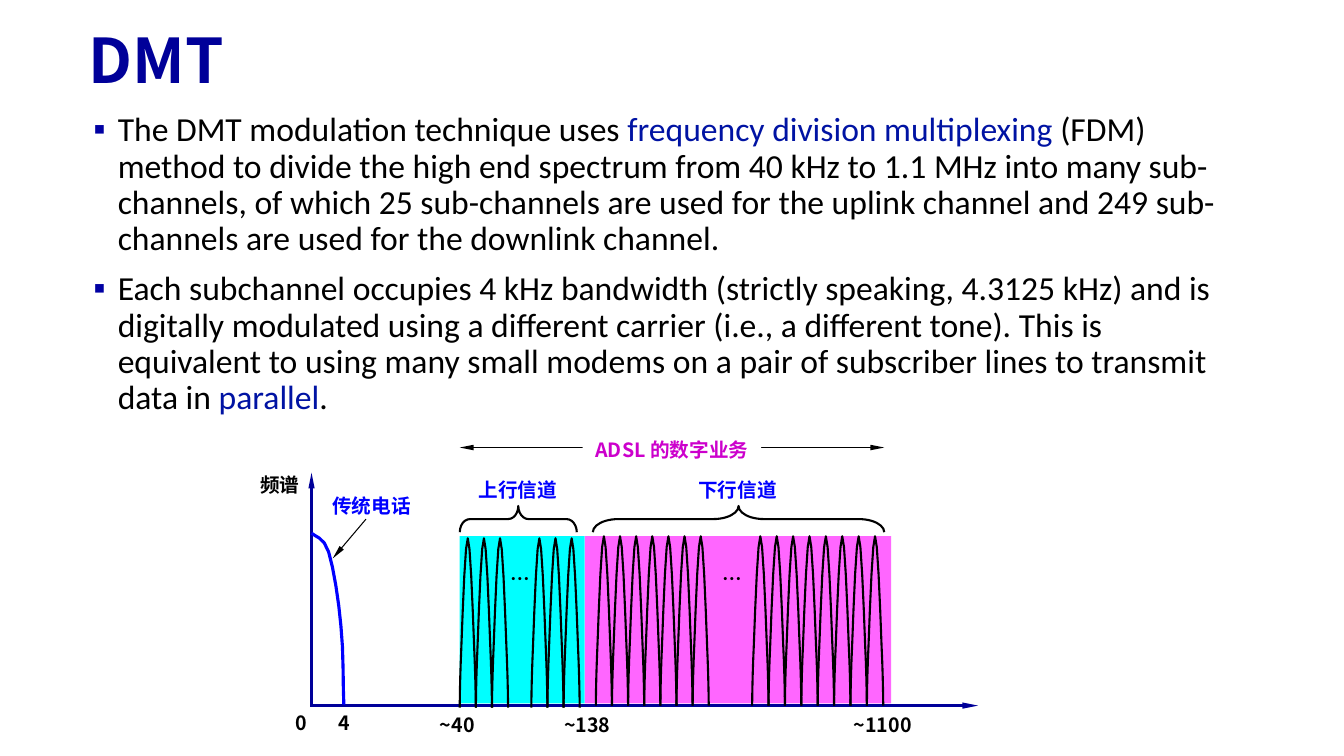
from lxml.etree import SubElement as Sub
from pptx import Presentation
from pptx.dml.color import RGBColor
from pptx.enum.shapes import MSO_CONNECTOR as Link, MSO_SHAPE as Kind
from pptx.enum.text import MSO_ANCHOR as Anchor, MSO_AUTO_SIZE as Auto, PP_ALIGN as Align
from pptx.oxml.ns import qn
from pptx.util import Inches, Pt

COLS, ROWS = 13.33, 7.5  # grid of one-inch cells
SANS, CJK = "Calibri", "Noto Sans CJK SC"
BLACK, NAVY, BLUE, INK = "000000", "000099", "0000FF", "0013A3"
AXIS, BASE, BAND = 3.09, 7.0, 5.32  # left axis, bottom axis, top of the bands

TITLE = "DMT"
POINTS = [
    [("The DMT modulation technique uses ", BLACK),
     ("frequency division multiplexing ", INK),
     ("(FDM) method to divide the high end spectrum from 40 kHz to 1.1 MHz into "
      "many sub-channels, of which 25 sub-channels are used for the uplink channel "
      "and 249 sub-channels are used for the downlink channel.", BLACK)],
    [("Each subchannel occupies 4 kHz bandwidth (strictly speaking, 4.3125 kHz) and "
      "is digitally modulated using a different carrier (i.e., a different tone). "
      "This is equivalent to using many small modems on a pair of subscriber lines "
      "to transmit data in ", BLACK),
     ("parallel", INK), (".", BLACK)],
]
# left, right, fill
BANDS = [(4.56, 5.8, "00FFFF"), (5.8, 8.84, "FF66FF")]
# left, right, bend
BRACES = [(4.56, 5.72, 0.389), (5.88, 8.77, 0.973)]
# start, end, width in points, colour, head at the start
ARROWS = [
    ((4.56, 4.44), (8.77, 4.44), 0.75, BLACK, True),
    ((AXIS, BASE + 0.01), (AXIS, 4.69), 2.25, NAVY, False),
    ((3.63, 5.15), (3.3, 5.54), 0.75, BLACK, False),
    ((AXIS, BASE), (9.7, BASE), 2.25, NAVY, False),
]
# text, left, top, width, colour, fill
LABELS = [
    ("ADSL 的数字业务", 5.78, 4.3, 1.77, "CC00CC", "FFFFFF"),
    ("频谱", 2.48, 4.64, 0.59, BLACK, None),
    ("传统电话", 3.19, 4.85, 0.99, BLUE, None),
    ("上行信道", 4.64, 4.69, 0.99, BLUE, None),
    ("下行信道", 6.82, 4.69, 0.99, BLUE, None),
    ("…", 4.96, 5.58, 0.39, BLACK, None),
    ("…", 7.07, 5.58, 0.39, BLACK, None),
    ("0", 2.83, BASE, 0.32, BLACK, None),
    ("4", 3.25, BASE, 0.32, BLACK, None),
    ("~40", 4.24, 7.02, 0.59, BLACK, None),
    ("~138", 5.47, 7.02, 0.71, BLACK, None),
    ("~1100", 8.34, 7.02, 0.83, BLACK, None),
]
# left, right, number of tones, top
TONES = [(4.56, 5.04, 3, 5.34), (5.27, 5.75, 3, 5.34),
         (5.91, 7.03, 7, BAND), (7.46, 8.76, 8, BAND)]
# curve points as shares of the width and height of each outline
RISE = [(0, 1), (0.01, 0.87), (0.05, 0.76), (0.1, 0.65),
        (0.2, 0.38), (0.36, 0), (0.5, 0)]
TONE = RISE + [(1 - x, y) for x, y in RISE[-2::-1]]
PHONE = [(0, 0), (0.09, 0.02), (0.38, 0.02), (0.53, 0.11), (0.69, 0.21), (0.84, 0.39),
         (0.91, 0.54), (1, 0.69), (0.97, 0.91), (1, 1)]


def rgb(code):
    return RGBColor.from_string(code)


def box(left, top, width, height):
    return [Inches(v) for v in (left, top, width, height)]


def write(par, text, size=14, font=CJK, color=BLACK, bold=True):
    run = par.add_run()
    run.text = text
    face = run.font
    face.size, face.name, face.bold = Pt(size), font, bold
    face.color.rgb = rgb(color)
    Sub(face._element, qn("a:ea")).set("typeface", font)


def bullet(par):
    prop = par._p.get_or_add_pPr()
    prop.set("marL", str(Inches(0.39)))
    prop.set("indent", str(Inches(-0.24)))
    tint = Sub(prop, qn("a:buClr"))
    Sub(tint, qn("a:srgbClr")).set("val", "0000A3")
    Sub(prop, qn("a:buFont")).set("typeface", SANS)
    Sub(prop, qn("a:buChar")).set("char", "▪")


def label(slide, text, left, top, width, color, fill):
    item = slide.shapes.add_textbox(*box(left, top, width, 0.34))
    if fill:
        item.fill.solid()
        item.fill.fore_color.rgb = rgb(fill)
    frame = item.text_frame
    frame.word_wrap, frame.auto_size = False, Auto.SHAPE_TO_FIT_TEXT
    par = frame.paragraphs[0]
    par.alignment = Align.CENTER
    write(par, text, color=color)


def arrow(slide, start, end, width, color, both):
    item = slide.shapes.add_connector(
        Link.STRAIGHT, *[Inches(v) for v in start + end])
    item.line.width = Pt(width)
    item.line.color.rgb = rgb(color)
    line = item.line._get_or_add_ln()
    for tag in ("a:headEnd", "a:tailEnd") if both else ("a:tailEnd",):
        Sub(line, qn(tag), type="triangle", w="sm", len="lg")
    Sub(item._element.spPr, qn("a:effectLst"))


def trace(dots, steps=4):
    """Sample a chain of cubic curves."""
    out = [dots[0]]
    for i in range(0, len(dots) - 1, 3):
        for k in range(1, steps + 1):
            t = k / steps
            parts = ((1 - t) ** 3, 3 * t * (1 - t) ** 2, 3 * t * t * (1 - t), t ** 3)
            out.append(tuple(sum(p * dot[axis] for p, dot in zip(parts, dots[i:i + 4]))
                             for axis in (0, 1)))
    return out


def curve(slide, dots, left, top, width, height, color, weight):
    spots = [(Inches(left + x * width), Inches(top + y * height))
             for x, y in trace(dots)]
    pen = slide.shapes.build_freeform(*spots[0])
    pen.add_line_segments(spots[1:], close=False)
    item = pen.convert_to_shape()
    item.shadow.inherit = False
    item.fill.background()
    item.line.width = Pt(weight)
    item.line.color.rgb = rgb(color)


def head(slide):
    title = slide.shapes.title
    title.left, title.top, title.width, title.height = box(0.78, 0.14, 11.87, 0.98)
    frame = title.text_frame
    frame.auto_size, frame.vertical_anchor = Auto.NONE, Anchor.MIDDLE
    par = frame.paragraphs[0]
    par.alignment, par.line_spacing = Align.LEFT, 0.9
    write(par, TITLE, size=44, color=NAVY)


def body(slide):
    frame = slide.shapes.add_textbox(*box(0.68, 1.07, 11.66, 3.15)).text_frame
    frame.word_wrap = True
    for i, runs in enumerate(POINTS):
        par = frame.add_paragraph() if i else frame.paragraphs[0]
        par.line_spacing = 0.9
        par.space_before = Pt(10 if i else 0)
        bullet(par)
        for text, color in runs:
            write(par, text, size=24, font=SANS, color=color, bold=False)


def chart(slide):
    for left, right, fill in BANDS:
        band = slide.shapes.add_shape(
            Kind.RECTANGLE, *box(left, BAND, right - left, BASE - 0.02 - BAND))
        band.shadow.inherit = False
        band.fill.solid()
        band.fill.fore_color.rgb = rgb(fill)
        band.line.fill.background()
    for item in ARROWS:
        arrow(slide, *item)
    curve(slide, PHONE, AXIS, 5.29, 0.32, 1.7, BLUE, 2.25)
    deep, mid = 0.26, 5.15
    for left, right, bend in BRACES:
        span = right - left
        brace = slide.shapes.add_shape(
            Kind.LEFT_BRACE,
            *box((left + right - deep) / 2, mid - span / 2, deep, span))
        brace.rotation = 90
        brace.adjustments[0] = bend
        brace.shadow.inherit = False
        brace.fill.background()
        brace.line.width = Pt(1.5)
        brace.line.color.rgb = rgb(BLACK)
    for item in LABELS:
        label(slide, *item)
    for left, right, count, top in TONES:
        step = (right - left) / count
        for i in range(count):
            curve(slide, TONE, left + i * step, top, step, 1.68, BLACK, 1.5)


def main():
    deck = Presentation()
    deck.slide_width, deck.slide_height = Inches(COLS), Inches(ROWS)
    slide = deck.slides.add_slide(deck.slide_layouts[5])
    head(slide)
    body(slide)
    chart(slide)
    deck.save("out.pptx")


if __name__ == "__main__":
    main()
